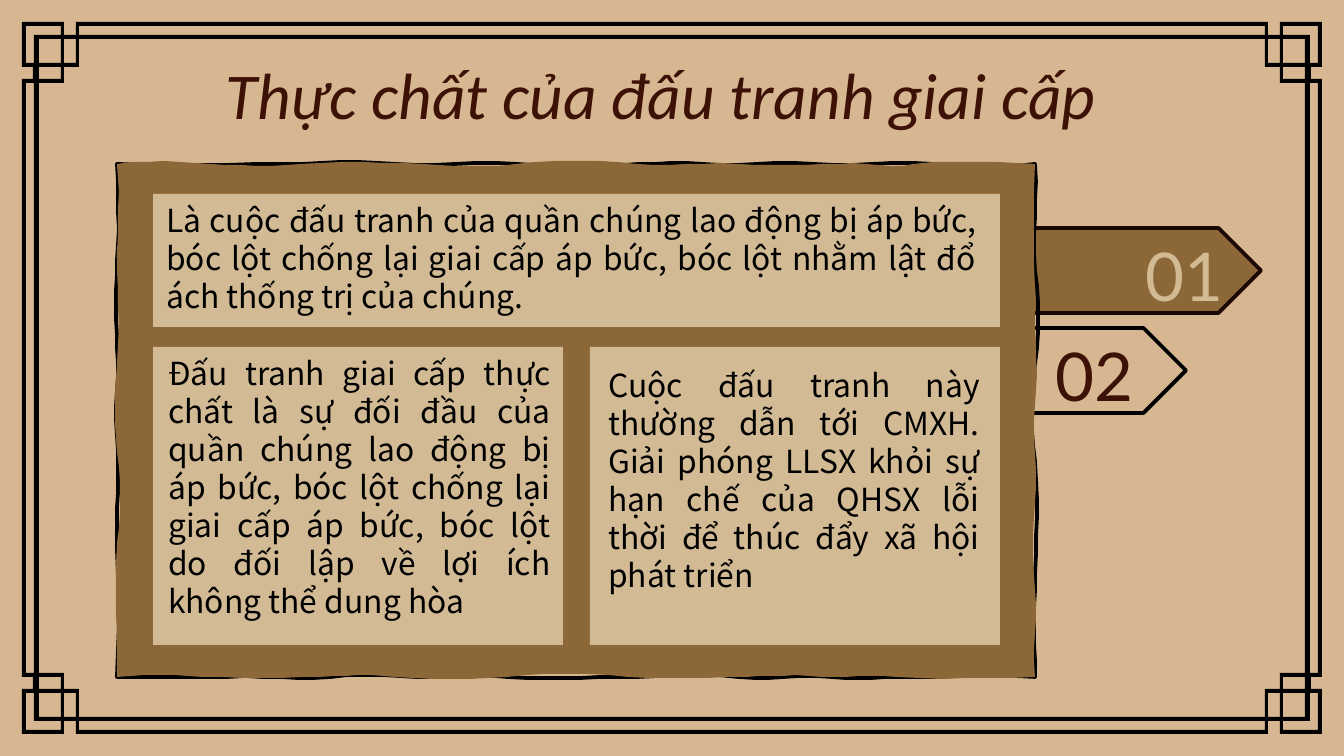
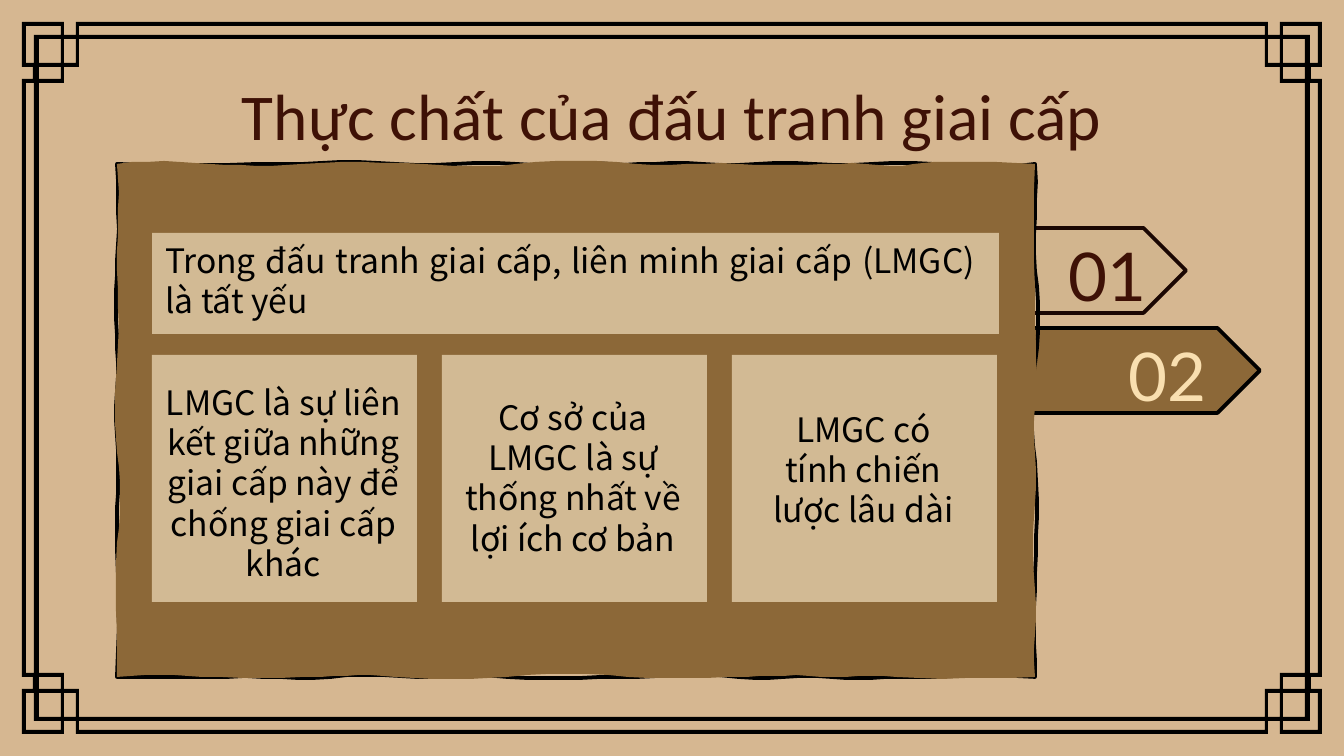
from dataclasses import dataclass

from pptx import Presentation
from pptx import util as u
from pptx.dml.color import RGBColor
from pptx.enum import shapes, text

SCALE = 914400 / 134.4
WIDTH, HEIGHT = 1344, 756


@dataclass(frozen=True)
class Theme:
    background: str = "D6B791"
    ink: str = "000000"
    brown: str = "8C6838"
    card: str = "D2BA94"
    tab: str = "D2B58E"
    maroon: str = "3E1106"
    dark_line: str = "1B0703"
    pale_number: str = "D2BA93"
    bright_number: str = "F9DFB0"
    title_font: str = "Calibri"
    number_font: str = "Lato"
    body_font: str = "Noto Sans CJK JP"
    title_size: int = 35
    number_size: int = 36
    line_width: int = 2


THEME = Theme()
TITLE = "Thực chất của đấu tranh giai cấp"
PANEL = (117, 164, 918, 513)

EDGE_RIPPLES = dict(
    top=[(816, 4, 5), (696, -5, 4), (585, -5, 4), (492, -4, 3),
         (399, -3, 4), (278, -4, 4), (168, -4, 0), (0, 0, 3)],
    left=[(97, 1, 3), (184, -1, -1), (271, 3, -3), (359, 3, 0), (513, 0, 4)],
    bottom=[(111, -1, 1), (214, -3, 4), (316, -5, 0), (390, 0, -4), (501, 3, 0),
            (621, 0, -5), (714, 5, -4), (797, 3, -1), (918, 0, -4)],
    right=[(410, -1, -1), (297, 1, 4), (200, -4, -4), (107, 4, 4), (0, -4, 3)],
)
BODY_RIPPLES = dict(
    top=[(797, -1, -5), (723, 5, -3), (621, 0, 3), (519, -3, 4), (399, -4, -5),
         (306, 5, 1), (185, -1, -4), (93, 4, 1), (0, -3, -4)],
    left=[(87, 3, 1), (200, 0, 4), (288, -3, -3), (379, 4, 4), (513, -3, 1)],
    bottom=[(85, -3, -3), (204, 1, 1), (278, -1, -4), (390, 3, 3), (511, -4, -4),
            (630, 3, 0), (704, -1, -3), (779, 1, -3), (918, 3, 1)],
    right=[(426, -3, 3), (339, -3, -3), (241, 3, -3), (149, 4, 0), (0, 0, -3)],
)


def px(value):
    return u.Emu(round(value * SCALE))


def place(shape, box):
    shape.left, shape.top, shape.width, shape.height = map(px, box)


def paint(shape, fill=None, line=None):
    shape.shadow.inherit = False
    if fill:
        shape.fill.solid()
        shape.fill.fore_color.rgb = RGBColor.from_string(fill)
    else:
        shape.fill.background()
    if line:
        shape.line.color.rgb = RGBColor.from_string(line)
        shape.line.width = u.Pt(THEME.line_width)
    else:
        shape.line.fill.background()


def write(shape, words, font, size, color, align=text.PP_ALIGN.CENTER,
          anchor=text.MSO_ANCHOR.TOP, inset=None, grow=False, italic=False):
    frame = shape.text_frame
    frame.word_wrap = True
    frame.auto_size = (text.MSO_AUTO_SIZE.SHAPE_TO_FIT_TEXT if grow
                       else text.MSO_AUTO_SIZE.NONE)
    frame.vertical_anchor = anchor
    if inset:
        frame.margin_left = frame.margin_right = px(inset)
        frame.margin_top = frame.margin_bottom = px(inset)
    para = frame.paragraphs[0]
    para.alignment = align
    span = para.add_run()
    span.text = words
    span.font.name = font
    span.font.size = u.Pt(size)
    span.font.italic = italic
    span.font.color.rgb = RGBColor.from_string(color)


def add_box(page, kind, box, **colors):
    shape = page.shapes.add_shape(kind, *map(px, box))
    paint(shape, **colors)
    return shape


def add_label(page, box, words, **style):
    label = page.shapes.add_textbox(*map(px, box))
    write(label, words, **style)


def add_outline(page, contours, **colors):
    builder = page.shapes.build_freeform(*contours[0][0], scale=SCALE)
    for index, contour in enumerate(contours):
        if index:
            builder.move_to(*contour[0])
        builder.add_line_segments(contour[1:], close=True)
    shape = builder.convert_to_shape()
    paint(shape, **colors)
    return shape


def rectangle(left, top, right, bottom):
    return [(left, top), (right, top), (right, bottom), (left, bottom)]


def mirrors(points):
    return [[(WIDTH - x if flip_x else x, HEIGHT - y if flip_y else y)
             for x, y in points]
            for flip_x, flip_y in ((0, 0), (1, 0), (1, 1), (0, 1))]


def ring(corner):
    first, second, third, fourth = mirrors(corner)
    return first + second[::-1] + third + fourth[::-1]


def add_frame(deck, page):
    outside = [(22, 79), (33, 79), (33, 67), (22, 67), (22, 22),
               (64, 22), (64, 35), (76, 35), (76, 22)]
    inside = [(39, 83), (64, 83), (64, 67), (79, 67), (79, 39)]
    bend = [(26, 26), (61, 26), (61, 35), (34, 35), (34, 63), (26, 63)]
    corner_holes = [bend, rectangle(39, 39, 61, 63),
                    rectangle(64, 39, 76, 63), rectangle(39, 67, 61, 79)]
    edge_holes = [rectangle(79, 26, WIDTH - 79, 35),
                  rectangle(26, 83, 34, HEIGHT - 83)]
    contours = [ring(outside), ring(inside)]
    for hole in corner_holes:
        contours += mirrors(hole)
    for hole in edge_holes:
        contours += mirrors(hole)[::2]
    frame = add_outline(page, contours, fill=THEME.ink)
    deck.slide_master.shapes.element.append(frame.element)


def ripple(start, knots, steps=6):
    points = []
    for end, first, second in knots:
        for step in range(1, steps + 1):
            t = step / steps
            offset = 3 * t * (1 - t) * ((1 - t) * first + t * second)
            points.append((start + (end - start) * t, offset))
        start = end
    return points


def rippled_contour(box, ripples):
    left, top, width, height = box
    contour = [(left + width, top)]
    contour += [(left + a, top + d) for a, d in ripple(width, ripples["top"])]
    contour += [(left + d, top + a) for a, d in ripple(0, ripples["left"])]
    contour += [(left + a, top + height + d)
                for a, d in ripple(0, ripples["bottom"])]
    contour += [(left + width + d, top + a)
                for a, d in ripple(height, ripples["right"])]
    return contour


def add_panel(page, box):
    add_outline(page, [rippled_contour(box, EDGE_RIPPLES)], line=THEME.ink)
    add_outline(page, [rippled_contour(box, BODY_RIPPLES)], fill=THEME.brown)


def add_tab(page, box, number, number_left, color, fill, line):
    left, top, width, height = box
    add_box(page, shapes.MSO_SHAPE.PENTAGON, box, fill=fill, line=line)
    add_label(page, (left + number_left, top + 15, 112, 63), number,
              font=THEME.number_font, size=THEME.number_size, color=color,
              anchor=text.MSO_ANCHOR.MIDDLE, inset=13)


def add_card(page, box, words, text_box, size, align):
    left, top = box[:2]
    dx, dy, width, height = text_box
    add_box(page, shapes.MSO_SHAPE.RECTANGLE, box, fill=THEME.card)
    add_label(page, (left + dx, top + dy, width, height), words,
              font=THEME.body_font, size=size, color=THEME.ink,
              align=align, grow=True)


def add_card_row(page, box, gap, cards, size, align):
    left, top, width, height = box
    card_width = (width - gap * (len(cards) - 1)) // len(cards)
    for index, (words, text_box) in enumerate(cards):
        card_left = left + index * (card_width + gap)
        add_card(page, (card_left, top, card_width, height), words, text_box,
                 size, align)


def add_page(deck, title_box, tabs, italic=False):
    page = deck.slides.add_slide(deck.slide_layouts[5])
    title = page.shapes.title
    place(title, title_box)
    write(title, TITLE, font=THEME.title_font, size=THEME.title_size,
          color=THEME.maroon, anchor=text.MSO_ANCHOR.MIDDLE, inset=13,
          italic=italic)
    lines = (THEME.dark_line, THEME.ink)
    for index, (left, number_left, color, fill) in enumerate(tabs):
        add_tab(page, (left, 228 + 100 * index, 303, 85), f"{index + 1:02}",
                number_left, color, fill, lines[index])
    add_panel(page, PANEL)
    return page


def add_essence_page(deck):
    page = add_page(
        deck, (94, 58, 1134, 70),
        [(958, 170, THEME.pale_number, THEME.brown),
         (883, 155, THEME.maroon, None)], italic=True)
    style = dict(size=17, align=text.PP_ALIGN.JUSTIFY)
    left, top = PANEL[0] + 36, PANEL[1] + 30
    add_card(page, (left, top, 847, 133),
             "Là cuộc đấu tranh của quần chúng lao động bị áp bức, bóc lột "
             "chống lại giai cấp áp bức, bóc lột nhằm lật đổ ách thống trị "
             "của chúng.", (0, 0, 837, 129), **style)
    add_card_row(page, (left, top + 153, 847, 298), 27, [
        ("Đấu tranh giai cấp thực chất là sự đối đầu của quần chúng lao động "
         "bị áp bức, bóc lột chống lại giai cấp áp bức, bóc lột do đối lập "
         "về lợi ích không thể dung hòa", (2, 0, 409, 282)),
        ("Cuộc đấu tranh này thường dẫn tới CMXH. Giải phóng LLSX khỏi sự "
         "hạn chế của QHSX lỗi thời để thúc đẩy xã hội phát triển",
         (5, 12, 398, 245)),
    ], **style)
    return page


def add_alliance_page(deck):
    page = add_page(
        deck, (105, 79, 1134, 70),
        [(883, 168, THEME.maroon, THEME.tab),
         (957, 154, THEME.bright_number, THEME.brown)])
    left, top = PANEL[0] + 35, PANEL[1] + 69
    add_card(page, (left, top, 847, 101),
             "Trong đấu tranh giai cấp, liên minh giai cấp (LMGC) là tất yếu",
             (0, 0, 837, 95), size=18, align=text.PP_ALIGN.JUSTIFY)
    add_card_row(page, (left, top + 122, 845, 247), 25, [
        ("LMGC là sự liên kết giữa những giai cấp này để chống giai cấp khác",
         (-4, 20, 271, 218)),
        ("Cơ sở của LMGC là sự thống nhất về lợi ích cơ bản",
         (6, 35, 250, 176)),
        ("LMGC có tính chiến lược lâu dài", (26, 47, 211, 136)),
    ], size=18, align=text.PP_ALIGN.CENTER)
    return page


def main():
    deck = Presentation()
    deck.slide_width, deck.slide_height = px(WIDTH), px(HEIGHT)
    backdrop = deck.slide_master.background.fill
    backdrop.solid()
    backdrop.fore_color.rgb = RGBColor.from_string(THEME.background)
    page = add_essence_page(deck)
    add_frame(deck, page)
    add_alliance_page(deck)
    deck.save("out.pptx")


if __name__ == "__main__":
    main()
